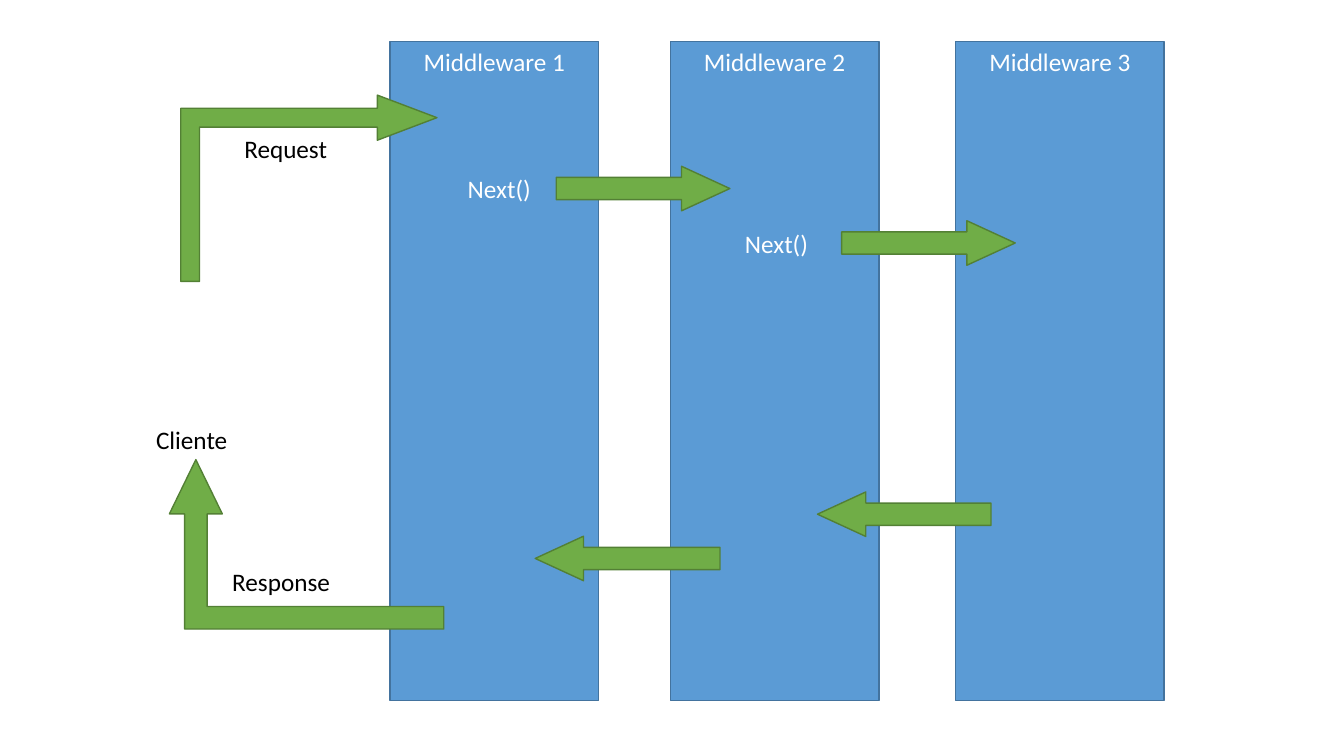
from pptx import Presentation
from pptx.util import Pt
from pptx.dml.color import RGBColor
from pptx.enum.shapes import MSO_SHAPE
from pptx.enum.text import MSO_ANCHOR, MSO_AUTO_SIZE, PP_ALIGN


def paint(color, code):
    color.rgb = RGBColor.from_string(code)


def draw(kind, box, fill, line):
    shape = slide.shapes.add_shape(kind, *map(Pt, box))
    shape.shadow.inherit = False
    shape.fill.solid()
    paint(shape.fill.fore_color, fill)
    paint(shape.line.color, line)
    shape.line.width = Pt(1)
    return shape


deck = Presentation()
deck.slide_width, deck.slide_height = Pt(960), Pt(540)
slide = deck.slides.add_slide(deck.slide_layouts[6])
style = {"size": Pt(18), "name": "Calibri"}
green = ("70AD47", "538035")

for number, left in enumerate((278.6, 478.8, 682.6), 1):
    column = draw(MSO_SHAPE.RECTANGLE, (left, 29.5, 149, 471), "5B9BD5", "43739E")
    frame = column.text_frame
    frame.vertical_anchor = MSO_ANCHOR.TOP
    para = frame.paragraphs[0]
    para.alignment = PP_ALIGN.CENTER
    para.text = f"Middleware {number}"
    for key, value in style.items():
        setattr(para.font, key, value)
    paint(para.font.color, "FFFFFF")

for left, top, width, turn in (
    (397.4, 118.8, 124, 0),
    (601.2, 157.7, 124, 0),
    (583.9, 351.4, 124, 180),
    (382.3, 383, 132, 180),
):
    arrow = draw(MSO_SHAPE.RIGHT_ARROW, (left, top, width, 31.8), *green)
    arrow.adjustments[1] = 1.085
    arrow.rotation = turn

for box, turn, bends in (
    ((154.1, 43, 133, 183), 270, (0.101, 0.121, 0.32)),
    ((121, 328.3, 196, 121), 180, (0.133, 0.156, 0.32)),
):
    arrow = draw(MSO_SHAPE.BENT_UP_ARROW, box, *green)
    for index, bend in enumerate(bends):
        arrow.adjustments[index] = bend
    arrow.rotation = turn
    arrow.element.spPr.xfrm.set("flipV", "1")

for text, left, top, width, code in (
    ("Cliente", 104.4, 299.5, 66, "000000"),
    ("Request", 167.4, 91.5, 74, "000000"),
    ("Response", 158.8, 401.2, 85, "000000"),
    ("Next()", 327, 120, 60, "FFFFFF"),
    ("Next()", 525, 159.5, 60, "FFFFFF"),
):
    label = slide.shapes.add_textbox(Pt(left), Pt(top), Pt(width), Pt(29))
    frame = label.text_frame
    frame.word_wrap = False
    frame.auto_size = MSO_AUTO_SIZE.SHAPE_TO_FIT_TEXT
    para = frame.paragraphs[0]
    para.text = text
    for key, value in style.items():
        setattr(para.font, key, value)
    paint(para.font.color, code)

deck.save("out.pptx")
